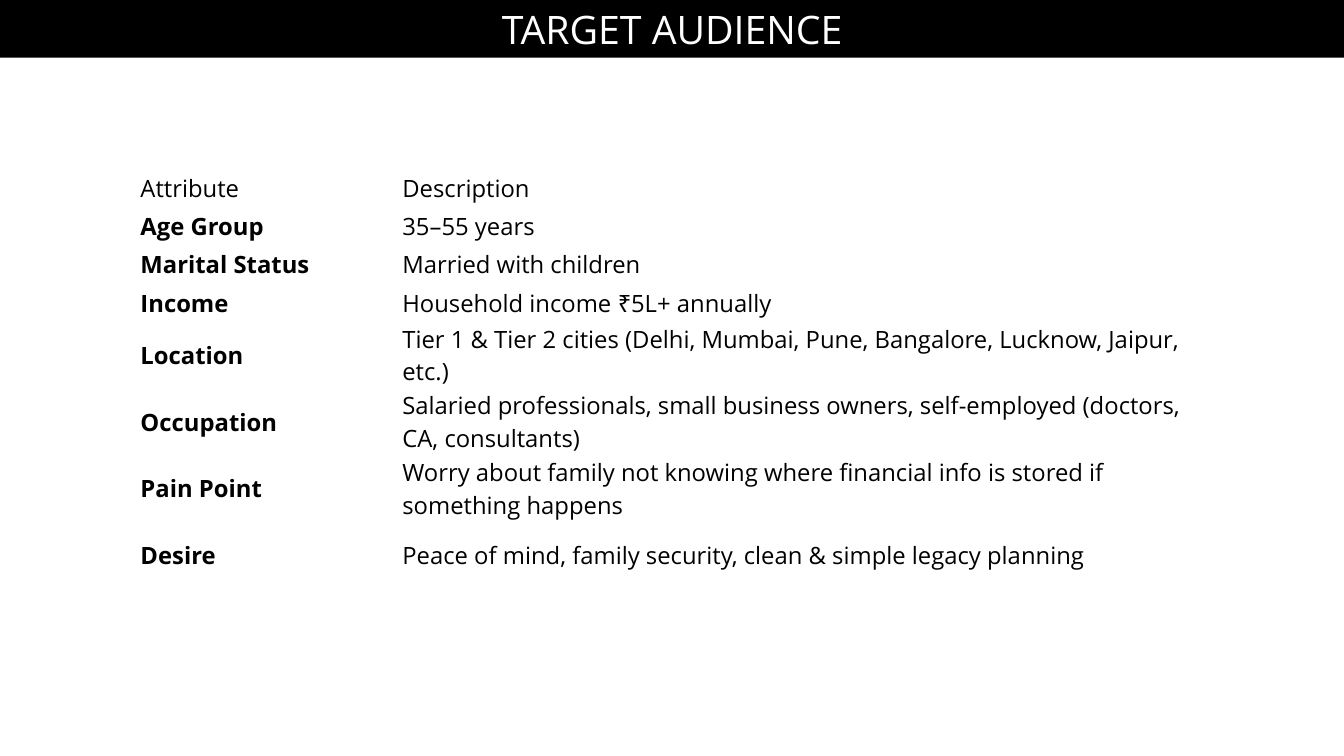
from pptx import Presentation
from pptx.dml.color import RGBColor
from pptx.enum.text import MSO_ANCHOR, PP_ALIGN
from pptx.util import Cm, Pt

MIDDLE = MSO_ANCHOR.MIDDLE
CENTER = PP_ALIGN.CENTER
TITLE_ONLY = 5
FONT = "Open Sans"
COLORS = {"banner": "000000", "title": "FFFFFF", "text": "000000"}

AUDIENCE = [
    ("Attribute", "Description"),
    ("Age Group", "35–55 years"),
    ("Marital Status", "Married with children"),
    ("Income", "Household income ₹5L+ annually"),
    ("Location", "Tier 1 & Tier 2 cities (Delhi, Mumbai, Pune, Bangalore, Lucknow, Jaipur, etc.)"),
    ("Occupation", "Salaried professionals, small business owners, self-employed (doctors, CA, consultants)"),
    ("Pain Point", "Worry about family not knowing where financial info is stored if something happens"),
    ("Desire", "Peace of mind, family security, clean & simple legacy planning"),
]
SHORT_ROWS = 4


def format_run(run, size, color, bold=False):
    run.font.name = FONT
    run.font.size = Pt(size)
    run.font.bold = bold
    run.font.color.rgb = RGBColor.from_string(COLORS[color])


def place_title(slide, left, top, width, height):
    title = slide.shapes.title
    title.left, title.top, title.width, title.height = left, top, width, height
    title.fill.solid()
    title.fill.fore_color.rgb = RGBColor.from_string(COLORS["banner"])
    frame = title.text_frame
    frame.text = "TARGET AUDIENCE"
    frame.margin_top = frame.margin_bottom = 0
    frame.vertical_anchor = MIDDLE
    paragraph = frame.paragraphs[0]
    paragraph.alignment = CENTER
    format_run(paragraph.runs[0], 28, "title")


def add_audience_table(slide, left, top, width, height):
    """Place the table; rows with long descriptions share the height left by the short ones."""
    table = slide.shapes.add_table(len(AUDIENCE), 2, left, top, width, height).table
    table.first_row = False
    table.horz_banding = False
    table.columns[0].width = Cm(6.6)
    table.columns[1].width = width - Cm(6.6)
    short_height = Cm(0.96)
    tall_height = (height - SHORT_ROWS * short_height) // (len(AUDIENCE) - SHORT_ROWS)
    for row_index, texts in enumerate(AUDIENCE):
        table.rows[row_index].height = short_height if row_index < SHORT_ROWS else tall_height
        for column_index, text in enumerate(texts):
            cell = table.cell(row_index, column_index)
            cell.fill.background()
            cell.vertical_anchor = MIDDLE
            cell.margin_left = cell.margin_right = Cm(0.24)
            cell.margin_top = cell.margin_bottom = Cm(0.01)
            cell.text_frame.text = text
            is_label = row_index > 0 and column_index == 0
            format_run(cell.text_frame.paragraphs[0].runs[0], 17, "text", is_label)


def main():
    presentation = Presentation()
    presentation.slide_width = Cm(33.87)
    presentation.slide_height = Cm(19.05)
    slide = presentation.slides.add_slide(presentation.slide_layouts[TITLE_ONLY])
    place_title(slide, 0, 0, presentation.slide_width, Cm(1.45))
    add_audience_table(slide, Cm(3.3), Cm(4.27), Cm(27.25), Cm(10.56))
    presentation.save("out.pptx")


if __name__ == "__main__":
    main()
